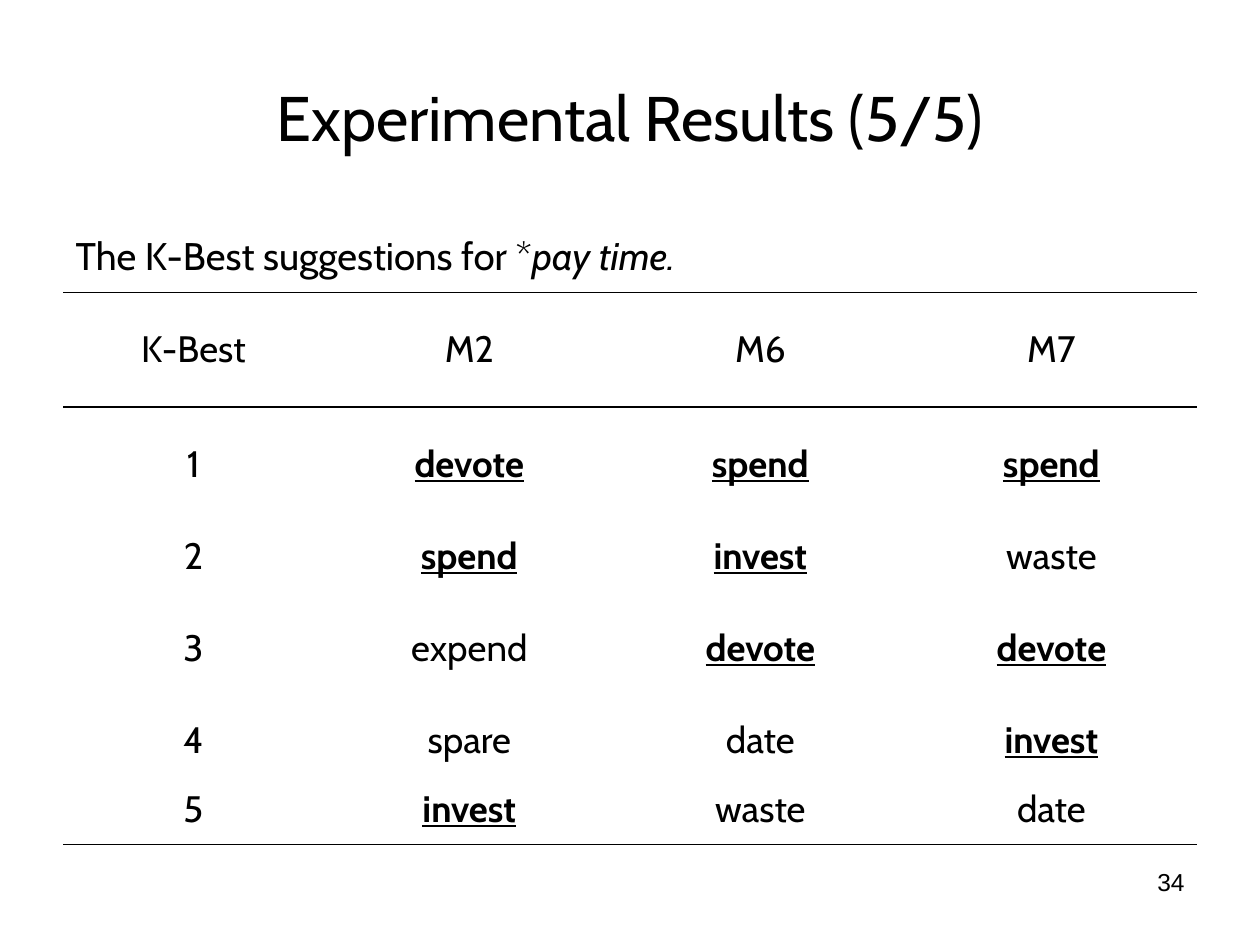
from dataclasses import dataclass

from lxml.etree import SubElement
from pptx import Presentation
from pptx.dml.color import RGBColor
from pptx.enum.text import MSO_ANCHOR as Anchor, PP_ALIGN as Align
from pptx.oxml.ns import qn
from pptx.util import Inches, Pt

TITLE = "Experimental Results (5/5)"
PAGE_NUMBER = "34"
CAPTION = [("The K-Best suggestions for *", False), ("pay time.", True)]
HEADERS = ["K-Best", "M2", "M6", "M7"]
SUGGESTIONS = [
    ["devote", "spend", "spend"],
    ["spend", "invest", "waste"],
    ["expend", "devote", "devote"],
    ["spare", "date", "invest"],
    ["invest", "waste", "date"],
]
CORRECT = {"devote", "spend", "invest"}
COLUMN_WIDTHS = [2.07, 2.31, 2.31, 2.31]
ROW_HEIGHTS = [0.57, 0.91, 0.91, 0.55, 0.91, 0.55, 0.55]
RULE_WIDTHS = {1: 0.45, 2: 0.96, len(ROW_HEIGHTS): 0.45}


@dataclass(frozen=True)
class Theme:
    ink: str = "000000"
    font: str = "Cabin"
    number_font: str = "Arial"
    title: float = 36
    caption: float = 22
    body: float = 21
    number: float = 14


THEME = Theme()


def add_text(para, text, size, font=THEME.font, align=None, bold=False, italic=False, underline=False):
    """Append a formatted span to a paragraph."""
    if align is not None:
        para.alignment = align
    span = para.add_run()
    span.text = text
    style = span.font
    style.name, style.size = font, Pt(size)
    style.bold, style.italic, style.underline = bold, italic, underline
    style.color.rgb = RGBColor.from_string(THEME.ink)


def add_box(page, place, text, size, anchor=Anchor.TOP, **style):
    """Add a wrapped text box holding one paragraph."""
    box = page.shapes.add_textbox(*map(Inches, place))
    frame = box.text_frame
    frame.word_wrap = True
    frame.vertical_anchor = anchor
    add_text(frame.paragraphs[0], text, size, **style)


def set_borders(cell, top, bottom):
    """Draw the horizontal rules of a cell and clear its sides."""
    properties = cell._tc.get_or_add_tcPr()
    for tag, width in (("a:lnL", None), ("a:lnR", None), ("a:lnT", top), ("a:lnB", bottom)):
        line = SubElement(properties, qn(tag))
        if width is None:
            SubElement(line, qn("a:noFill"))
        else:
            line.set("w", str(Pt(width)))
            fill = SubElement(line, qn("a:solidFill"))
            SubElement(fill, qn("a:srgbClr")).set("val", THEME.ink)
    cell.fill.background()


def add_results(page):
    """Add the table of ranked suggestions."""
    ranked = [[str(rank), *words] for rank, words in enumerate(SUGGESTIONS, 1)]
    place = (0.5, 1.75, sum(COLUMN_WIDTHS), sum(ROW_HEIGHTS))
    table = page.shapes.add_table(len(ROW_HEIGHTS), len(HEADERS), *map(Inches, place)).table
    table.first_row = table.horz_banding = False
    for column, width in zip(table.columns, COLUMN_WIDTHS):
        column.width = Inches(width)
    for index, (row, height) in enumerate(zip(table.rows, ROW_HEIGHTS)):
        row.height = Inches(height)
        for cell in row.cells:
            cell.vertical_anchor = Anchor.MIDDLE
            set_borders(cell, RULE_WIDTHS.get(index), RULE_WIDTHS.get(index + 1))

    table.cell(0, 0).merge(table.cell(0, len(HEADERS) - 1))
    caption = table.cell(0, 0).text_frame.paragraphs[0]
    caption.space_before = Pt(5.5)
    for text, italic in CAPTION:
        add_text(caption, text, THEME.caption, italic=italic)
    for row, words in enumerate([HEADERS, *ranked], 1):
        for column, word in enumerate(words):
            para = table.cell(row, column).text_frame.paragraphs[0]
            right = word in CORRECT
            add_text(para, word, THEME.body, align=Align.CENTER, bold=right, underline=right)


def main():
    """Build and save the slide."""
    deck = Presentation()
    deck.slide_width, deck.slide_height = Inches(10), Inches(7.5)
    page = deck.slides.add_slide(deck.slide_layouts[6])
    add_box(page, (0.5, 0.3, 9, 1.25), TITLE, THEME.title, anchor=Anchor.MIDDLE, align=Align.CENTER)
    add_results(page)
    add_box(page, (7.17, 6.83, 2.33, 0.52), PAGE_NUMBER, THEME.number,
            font=THEME.number_font, align=Align.RIGHT)
    deck.save("out.pptx")


if __name__ == "__main__":
    main()
